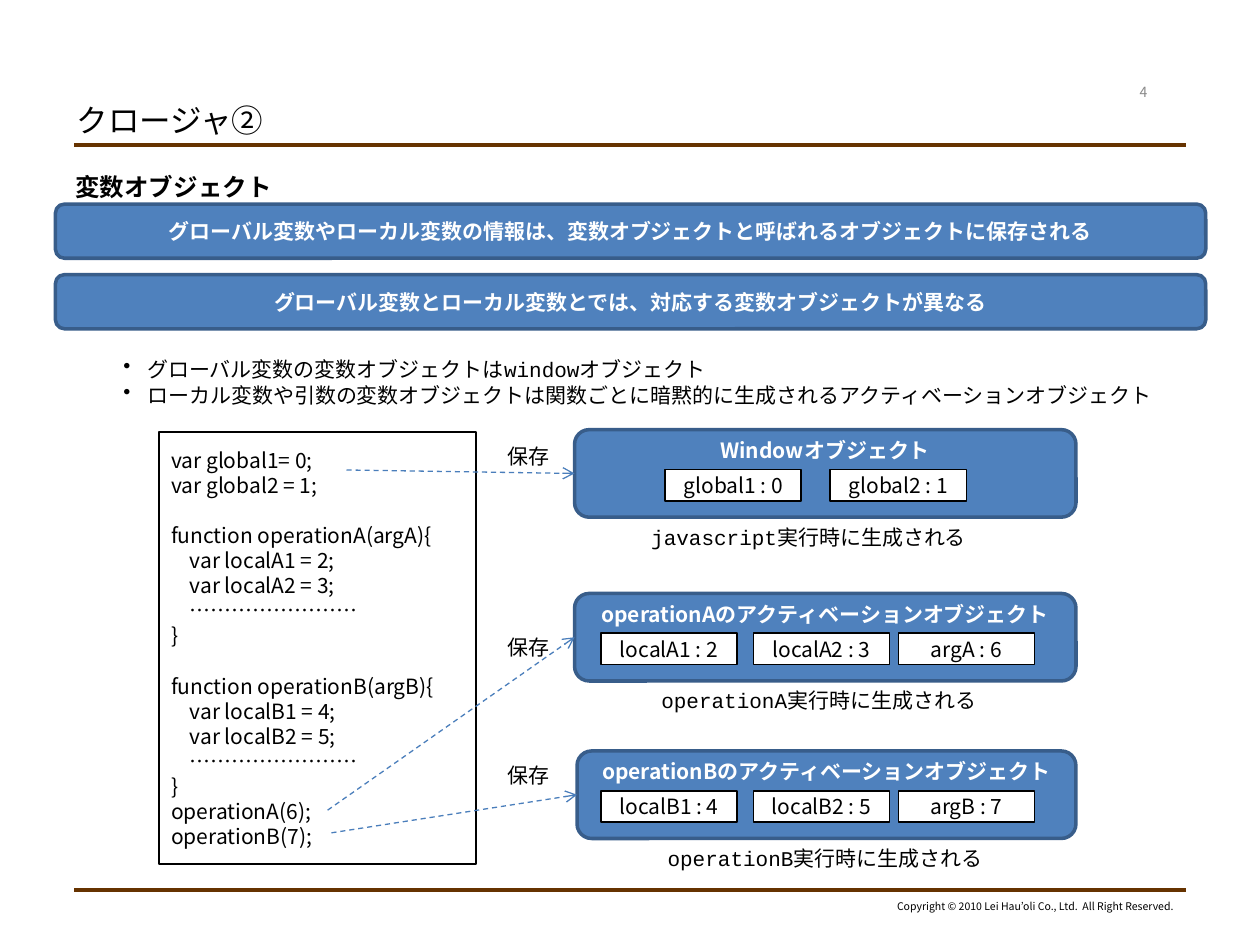
from pptx import Presentation
from pptx.dml.color import RGBColor
from pptx.enum.dml import MSO_LINE
from pptx.enum.shapes import MSO_CONNECTOR as Connector, MSO_SHAPE as Preset
from pptx.enum.text import MSO_ANCHOR as Anchor, PP_ALIGN as Align
from pptx.oxml.ns import qn
from pptx.util import Inches, Pt
from lxml.etree import SubElement

BLACK = RGBColor(0x00, 0x00, 0x00)
WHITE = RGBColor(0xFF, 0xFF, 0xFF)
GRAY = RGBColor(0x89, 0x89, 0x89)
BROWN = RGBColor(0x66, 0x33, 0x00)
BLUE = RGBColor(0x4F, 0x81, 0xBD)
NAVY = RGBColor(0x38, 0x5D, 0x8A)
ARROW = RGBColor(0x4A, 0x7E, 0xBB)
SANS = "Noto Sans CJK JP"
MONO = "Courier New"

deck = Presentation()
deck.slide_width, deck.slide_height = Inches(10), Inches(7.5)
COLUMN, ROW = deck.slide_width / 100, deck.slide_height / 75
page = deck.slides.add_slide(deck.slide_layouts[6])


def write(text, left, top, width, height, preset=None, fill=None, line=None, weight=1,
          size=12, font=SANS, color=BLACK, bold=False, align=Align.LEFT,
          anchor=Anchor.MIDDLE, wrap=True, inset=0.05, pitch=None, bullet=None):
    place = [int(left * COLUMN), int(top * ROW), int(width * COLUMN), int(height * ROW)]
    if preset is None:
        box = page.shapes.add_textbox(*place)
    else:
        box = page.shapes.add_shape(preset, *place)
        box.shadow.inherit = False
        box.line.color.rgb, box.line.width = line, Pt(weight)
        if fill is None:
            box.fill.background()
        else:
            box.fill.solid()
            box.fill.fore_color.rgb = fill
    frame = box.text_frame
    frame.word_wrap, frame.vertical_anchor = wrap, anchor
    frame.margin_top = frame.margin_bottom = Inches(inset)
    for index, words in enumerate(text.split("\n")):
        para = frame.paragraphs[0] if index == 0 else frame.add_paragraph()
        para.alignment = align
        if pitch:
            para.line_spacing = Pt(pitch)
        if words.startswith("function"):
            para.space_before = Pt(pitch)
        if bullet:
            layout = para._p.get_or_add_pPr()
            layout.set("marL", str(Inches(0.19)))
            layout.set("indent", str(-Inches(0.19)))
            SubElement(layout, qn("a:buChar"), char=bullet)
        span = para.add_run()
        span.text = words
        span.font.size, span.font.bold = Pt(size), bold
        span.font.color.rgb, span.font.name = color, font
        SubElement(span._r.get_or_add_rPr(), qn("a:ea"), typeface=SANS)
    return box


def draw_line(start, end, color, weight):
    line = page.shapes.add_connector(
        Connector.STRAIGHT, int(start[0] * COLUMN), int(start[1] * ROW),
        int(end[0] * COLUMN), int(end[1] * ROW))
    line.line.color.rgb, line.line.width = color, Pt(weight)
    SubElement(line._element.spPr, qn("a:effectLst"))
    return line


for row in (11.5, 70.6):
    draw_line((5.9, row), (94.1, row), BROWN, 2.25)

write("Copyright © 2010 Lei Hau’oli Co., Ltd.  All Right Reserved.",
      69.9, 70.9, 24.2, 2, size=6, align=Align.RIGHT, wrap=False)
write("クロージャ②", 5.1, 7.6, 56.8, 3.9, size=18)
write("4", 87.8, 6.1, 5.9, 2.4, size=8, color=GRAY, align=Align.CENTER)
write("変数オブジェクト", 5, 13.1, 90, 3.4, size=14, bold=True)

banners = [
    "グローバル変数やローカル変数の情報は、変数オブジェクトと呼ばれるオブジェクトに保存される",
    "グローバル変数とローカル変数とでは、対応する変数オブジェクトが異なる",
]
for index, banner in enumerate(banners):
    write(banner, 4.4, 16.2 + 5.6 * index, 91.3, 4.3, Preset.ROUNDED_RECTANGLE,
          BLUE, NAVY, 2, color=WHITE, bold=True, align=Align.CENTER)

write("グローバル変数の変数オブジェクトはwindowオブジェクト\n"
      "ローカル変数や引数の変数オブジェクトは関数ごとに暗黙的に生成されるアクティベーションオブジェクト",
      8.8, 27.7, 83.9, 5, font=MONO, anchor=Anchor.TOP, pitch=14.9, bullet="•")

code = """var global1= 0;
var global2 = 1;
function operationA(argA){
    var localA1 = 2;
    var localA2 = 3;
    ……………………
}
function operationB(argB){
    var localB1 = 4;
    var localB2 = 5;
    ……………………
}
operationA(6);
operationB(7);"""
write(code, 12.6, 34.3, 25.2, 34.3, Preset.RECTANGLE, line=BLACK, pitch=14.35)

panels = [
    ("Windowオブジェクト", 45.6, 34.1, {52.8: "global1 : 0", 65.9: "global2 : 1"},
     "javascript", 50.7, 34.7, (27.5, 37.3)),
    ("operationAのアクティベーションオブジェクト", 45.6, 47.1,
     {47.7: "localA1 : 2", 59.8: "localA2 : 3", 71.3: "argA : 6"},
     "operationA", 51.5, 49.9, (26, 64.3)),
    ("operationBのアクティベーションオブジェクト", 45.8, 59.6,
     {47.7: "localB1 : 4", 59.8: "localB2 : 5", 71.3: "argB : 7"},
     "operationB", 52, 60, (26.3, 66.1)),
]
for heading, left, top, variables, trigger, caption_left, label_top, start in panels:
    panel = write(heading, left, top, 85.4 - left, 6.95, Preset.ROUNDED_RECTANGLE,
                  BLUE, NAVY, 2, color=WHITE, bold=True, align=Align.CENTER,
                  anchor=Anchor.TOP, inset=0.03)
    for column, variable in variables.items():
        write(variable, column, top + 3.15, 10.8, 2.5, Preset.RECTANGLE,
              WHITE, BLACK, align=Align.CENTER)
    write(trigger + "実行時に生成される", caption_left, top + 7, 27.4, 3, font=MONO, wrap=False)
    write("保存", 39.3, label_top, 5.3, 3, font=MONO, wrap=False)
    arrow = draw_line(start, (left, top + 3.5), ARROW, 0.75)
    arrow.end_connect(panel, 1)
    arrow.line.dash_style = MSO_LINE.DASH
    SubElement(arrow.line._get_or_add_ln(), qn("a:tailEnd"), type="arrow")

deck.save("out.pptx")
